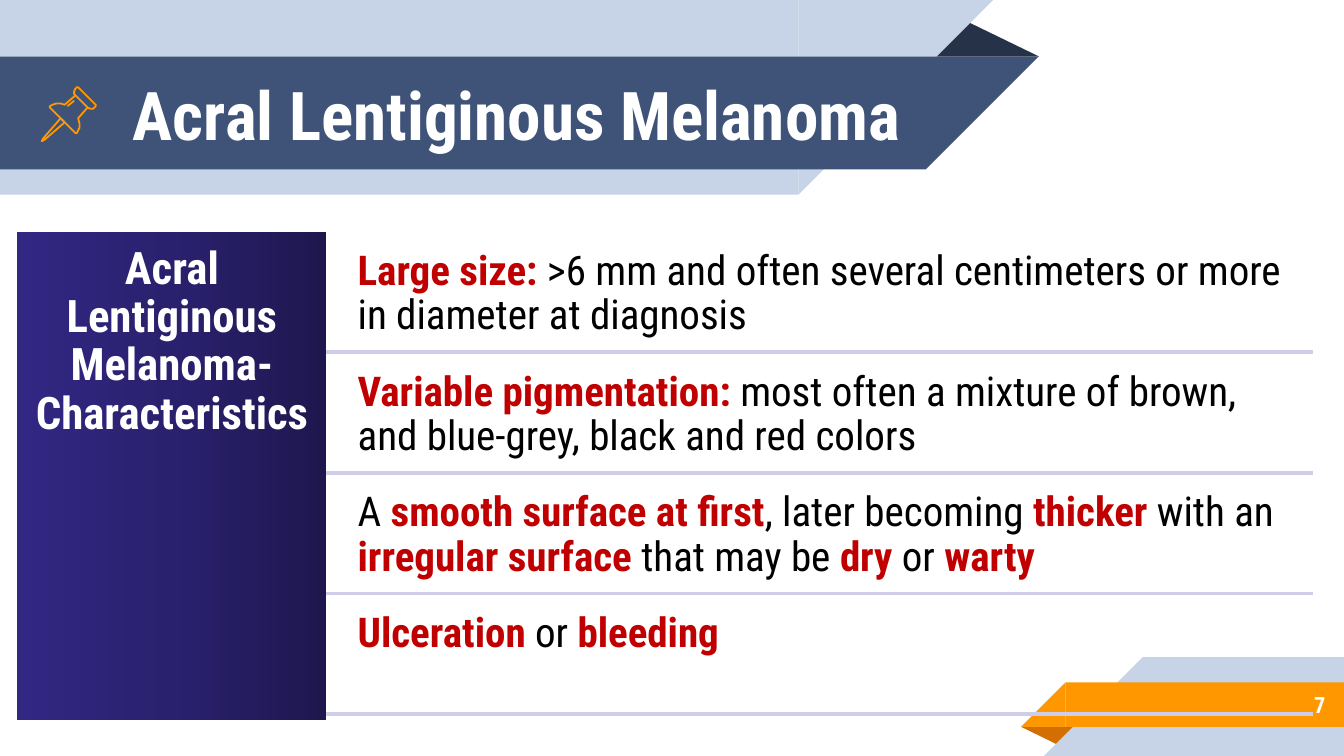
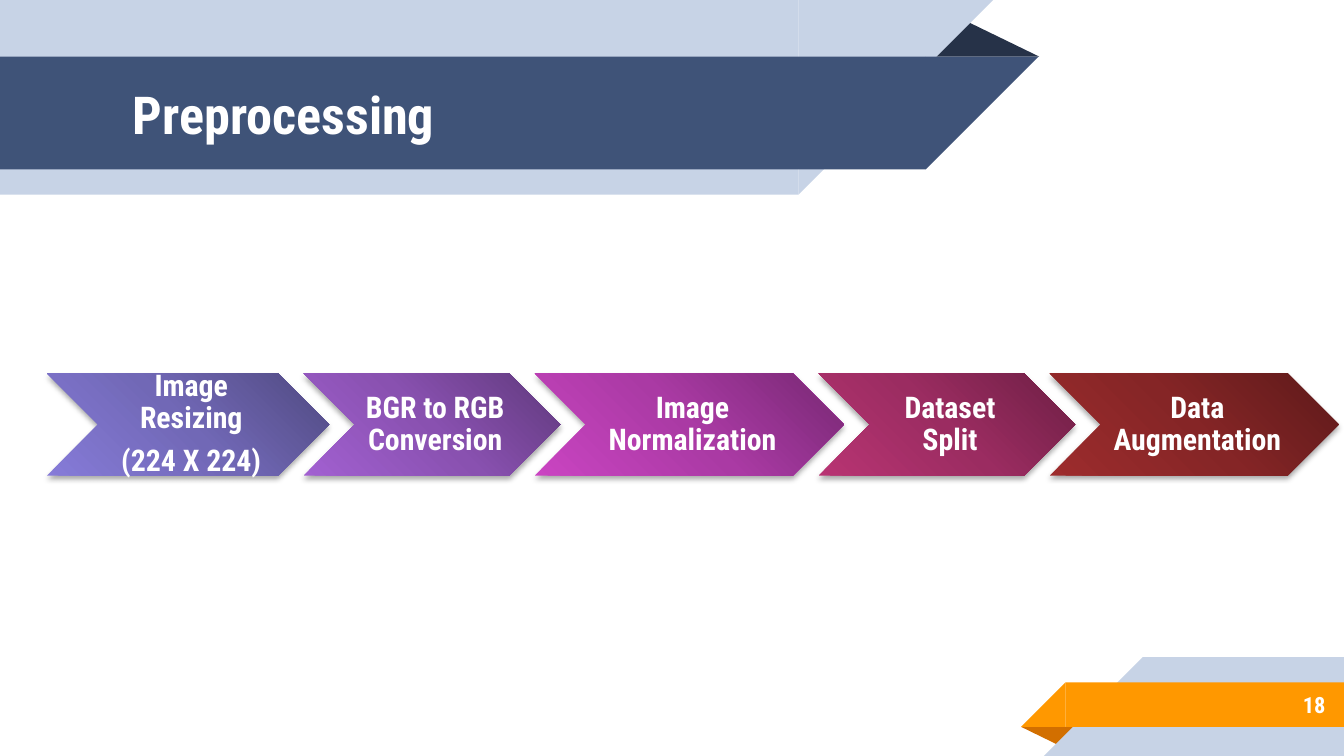
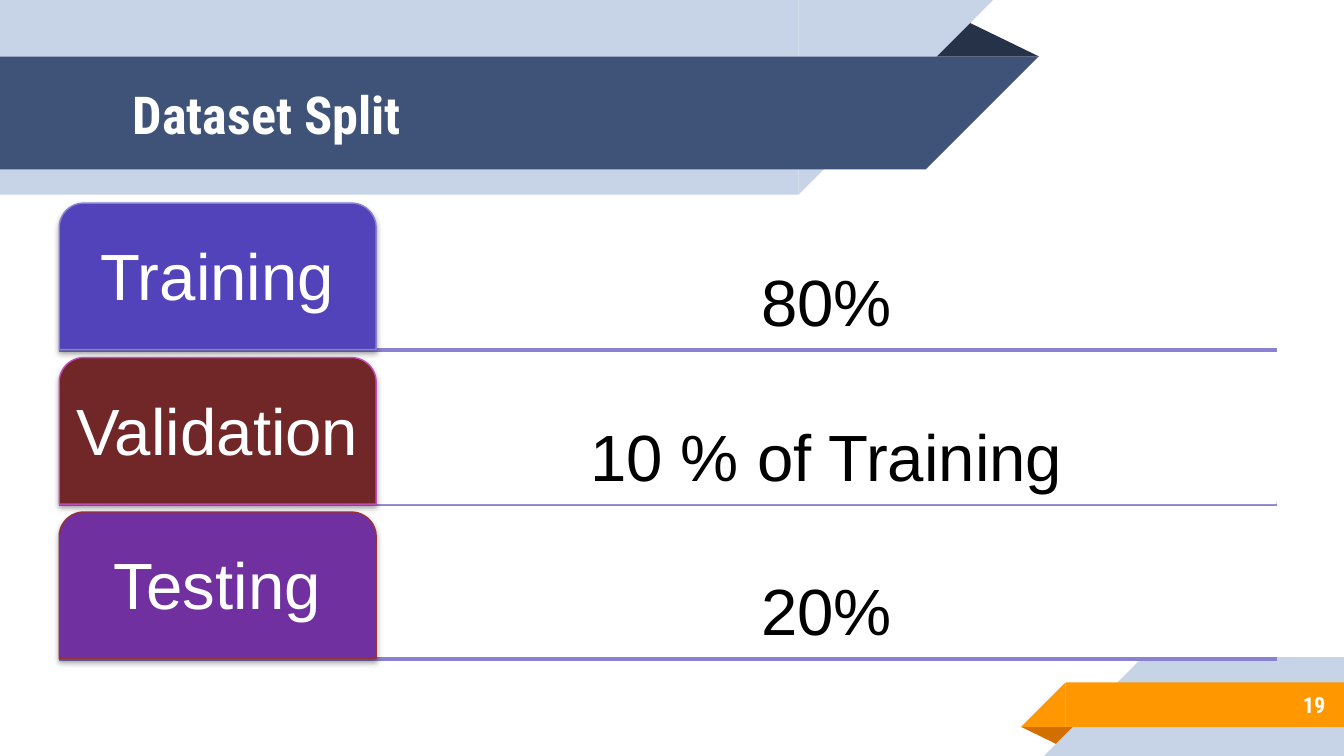
from typing import NamedTuple

from pptx import Presentation
from pptx.dml.color import RGBColor
from pptx.enum.shapes import MSO_CONNECTOR, MSO_SHAPE
from pptx.enum.text import MSO_ANCHOR, PP_ALIGN
from pptx.oxml import parse_xml
from pptx.oxml.ns import nsdecls, qn
from pptx.util import Cm, Pt

WHITE = RGBColor(0xFF, 0xFF, 0xFF)
BLACK = RGBColor(0x00, 0x00, 0x00)
NAVY = RGBColor(0x3F, 0x53, 0x78)
NAVY_FOLD = RGBColor(0x26, 0x32, 0x48)
PALE_BLUE = RGBColor(0xC7, 0xD3, 0xE6)
ORANGE = RGBColor(0xFF, 0x98, 0x00)
ORANGE_FOLD = RGBColor(0xD2, 0x6F, 0x00)
RED = RGBColor(0xC0, 0x00, 0x00)
LAVENDER = RGBColor(0xD0, 0xCD, 0xEA)
VIOLET = RGBColor(0x8B, 0x81, 0xD2)
INDIGO = RGBColor(0x52, 0x43, 0xBB)
MAROON = RGBColor(0x71, 0x26, 0x27)
MAGENTA = RGBColor(0xC1, 0x4D, 0xBA)
PURPLE = RGBColor(0x70, 0x30, 0xA0)
BRICK = RGBColor(0x96, 0x33, 0x34)


def shades(*codes):
    """Turn hex codes into the colours of a gradient, darkest first."""
    return [RGBColor.from_string(code) for code in codes]


PANEL_SHADES = shades("1E174E", "2A216E", "322783")
VIOLET_SHADES = shades("504980", "7168B6", "867BD8")
PURPLE_SHADES = shades("60397C", "8951B0", "A260D1")
MAGENTA_SHADES = shades("772873", "AA3AA4", "CA44C2")
ROSE_SHADES = shades("6D1F44", "9B2C61", "B83473")
BRICK_SHADES = shades("5D1A1A", "852526", "9D2C2D")

HEADING_FONT = "Roboto Condensed"
BODY_FONT = "Arial"
LEFT_TO_RIGHT = '<a:lin ang="10800000" scaled="0"/>'
FROM_CORNER = '<a:path path="circle"><a:fillToRect l="100000" b="100000"/></a:path>'

TRAITS = [
    "*Large size:* >6 mm and often several centimeters or more in diameter at diagnosis",
    "*Variable pigmentation:* most often a mixture of brown, and blue-grey, black and red colors",
    "A *smooth surface at first*, later becoming *thicker* with an "
    "*irregular surface* that may be *dry* or *warty*",
    "*Ulceration* or *bleeding*",
]
STEPS = [
    ("Image Resizing\n(224 X 224)", 5.33, VIOLET_SHADES),
    ("BGR to RGB Conversion", 4.85, PURPLE_SHADES),
    ("Image Normalization", 5.84, MAGENTA_SHADES),
    ("Dataset Split", 4.85, ROSE_SHADES),
    ("Data Augmentation", 5.46, BRICK_SHADES),
]
SHARES = [
    ("Training", "80%", INDIGO, VIOLET, None),
    ("Validation", "10 % of Training", MAROON, MAGENTA, WHITE),
    ("Testing", "20%", PURPLE, BRICK, None),
]
PIN_STROKES = [
    ([(14, 23), (1, 38), (0, 40), (2, 39), (17, 26)], True),
    ([(25, 6), (34, 15), (36, 16), (38, 16), (39, 15), (40, 14), (40, 13),
      (27, 0), (26, 0), (25, 1), (24, 3), (24, 5)], True),
    ([(25, 6), (17, 13), (14, 12), (11, 12), (8, 13), (6, 14), (6, 15), (7, 16),
      (24, 33), (25, 34), (26, 34), (27, 32), (28, 30), (28, 27), (27, 23),
      (34, 15)], False),
    ([(19, 14), (24, 10)], False),
]


class Box(NamedTuple):
    """A place on the slide in centimetres."""
    x: float
    y: float
    w: float
    h: float

    def emu(self):
        """Give the four lengths as python-pptx takes them."""
        return [Cm(length) for length in self]


def add_text(slide, box, text, size=22, font=HEADING_FONT, color=WHITE, bold=False,
             align=PP_ALIGN.LEFT, anchor=MSO_ANCHOR.TOP, margins=(0.25,) * 4,
             spaced=True, fill=None):
    """Write text in a box, with the parts between asterisks in bold red."""
    text_box = slide.shapes.add_textbox(*box.emu())
    if fill is not None:
        text_box.fill.solid()
        text_box.fill.fore_color.rgb = fill
    frame = text_box.text_frame
    frame.word_wrap = True
    frame.vertical_anchor = anchor
    (frame.margin_left, frame.margin_top,
     frame.margin_right, frame.margin_bottom) = [Cm(margin) for margin in margins]
    for index, line in enumerate(text.split("\n")):
        paragraph = frame.add_paragraph() if index else frame.paragraphs[0]
        paragraph.alignment = align
        if spaced:
            paragraph.line_spacing = 0.9
            paragraph.space_after = Pt(size * 0.35)
        for position, part in enumerate(line.split("*")):
            if not part:
                continue
            marked = position % 2 == 1
            run = paragraph.add_run()
            run.text = part
            run.font.name = font
            run.font.size = Pt(size)
            run.font.bold = bold or marked
            run.font.color.rgb = RED if marked else color


def add_block(slide, kind, box, fill=None, outline=None, rotation=0, flipped=False):
    """Place a flat preset shape."""
    block = slide.shapes.add_shape(kind, *box.emu())
    block.shadow.inherit = False
    if fill is not None:
        block.fill.solid()
        block.fill.fore_color.rgb = fill
    if outline is None:
        block.line.fill.background()
    else:
        block.line.color.rgb = outline
        block.line.width = Pt(0.75)
    block.rotation = rotation
    if flipped:
        block._element.spPr.find(qn("a:xfrm")).set("flipH", "1")
    return block


def shade(block, colors, direction):
    """Fill a shape with a gradient of evenly placed colours."""
    stops = "".join(
        f'<a:gs pos="{index * 100000 // (len(colors) - 1)}"><a:srgbClr val="{color}"/></a:gs>'
        for index, color in enumerate(colors))
    gradient = parse_xml(f'<a:gradFill {nsdecls("a")} rotWithShape="1">'
                         f'<a:gsLst>{stops}</a:gsLst>{direction}</a:gradFill>')
    block._element.spPr.find(qn("a:prstGeom")).addnext(gradient)


def drop_shadow(block):
    """Give a shape a soft shadow below it."""
    block._element.spPr.find(qn("a:effectLst")).append(parse_xml(
        f'<a:outerShdw {nsdecls("a")} blurRad="39370" dist="22860" dir="5400000" rotWithShape="0">'
        '<a:srgbClr val="000000"><a:alpha val="35000"/></a:srgbClr></a:outerShdw>'))


def add_rule(slide, x, y, width, color):
    """Draw a horizontal rule."""
    rule = slide.shapes.add_connector(
        MSO_CONNECTOR.STRAIGHT, Cm(x), Cm(y), Cm(x + width), Cm(y))
    rule.line.color.rgb = color
    rule.line.width = Pt(2)
    rule._element.spPr.append(parse_xml(f'<a:effectLst {nsdecls("a")}/>'))


def add_fold(slide, box, color, rotation=0):
    """Draw the dark fold behind a ribbon."""
    fold = add_block(slide, MSO_SHAPE.ISOSCELES_TRIANGLE, box, color, rotation=rotation)
    fold.adjustments[0] = 0.324


def add_ribbon(slide, box, color, slant_right):
    """Draw a band with one end cut at 45 degrees."""
    rotation = 180 if slant_right else 0
    straight_x = box.x if slant_right else box.x + box.h
    slant_x = box.x + box.w - box.h if slant_right else box.x
    parts = [
        (MSO_SHAPE.RECTANGLE, Box(straight_x, box.y, box.w - box.h, box.h)),
        (MSO_SHAPE.RIGHT_TRIANGLE, Box(slant_x, box.y, box.h, box.h)),
    ]
    for kind, place in parts:
        add_block(slide, kind, place, color, rotation=rotation, flipped=True)


def add_header(slide, box, title, size, title_width):
    """Draw the title ribbons and the title."""
    add_fold(slide, Box(box.x + 17.48, box.y + 0.36, 2.16, 0.71), NAVY_FOLD)
    add_ribbon(slide, Box(box.x, box.y, 18.77, box.h), PALE_BLUE, True)
    add_ribbon(slide, Box(box.x, box.y + 1.07, box.w, 2.13), NAVY, True)
    add_text(slide, Box(box.x + 2.26, box.y + 1.09, title_width, 2.13), title, size=size,
             bold=True, anchor=MSO_ANCHOR.MIDDLE, spaced=False)


def add_footer(slide, box, number):
    """Draw the corner ribbons and the slide number."""
    add_fold(slide, Box(box.x, box.y + 1.32, 1.09, 0.36), ORANGE_FOLD, 180)
    add_ribbon(slide, Box(box.x + 0.43, box.y, box.w - 0.43, box.h), PALE_BLUE, False)
    add_ribbon(slide, Box(box.x, box.y + 0.48, box.w, 0.84), ORANGE, False)
    add_text(slide, Box(box.x + 1.86, box.y + 0.46, 4.14, 0.89), str(number), size=12, bold=True,
             align=PP_ALIGN.RIGHT, anchor=MSO_ANCHOR.MIDDLE, spaced=False)


def add_framed_slide(deck, title, number, size=28, title_width=15.27):
    """Add a slide with its header and footer."""
    slide = deck.slides.add_slide(deck.slide_layouts[6])
    add_header(slide, Box(0, 0, 19.63, 3.68), title, size, title_width)
    add_footer(slide, Box(19.3, 12.42, 6.1, 1.87), number)
    return slide


def add_pin(slide, box):
    """Draw the outlined push pin."""
    scale = Cm(box.w) / 40
    for points, closed in PIN_STROKES:
        builder = slide.shapes.build_freeform(*points[0], scale=scale)
        builder.add_line_segments(points[1:], close=closed)
        stroke = builder.convert_to_shape(Cm(box.x), Cm(box.y))
        stroke.shadow.inherit = False
        stroke.fill.background()
        stroke.line.color.rgb = ORANGE
        stroke.line.width = Pt(0.96)


def add_traits(slide, box, label, traits):
    """Draw the label panel and its ruled list of traits."""
    label_box = box._replace(w=5.84)
    panel = add_block(slide, MSO_SHAPE.RECTANGLE, label_box)
    shade(panel, PANEL_SHADES, LEFT_TO_RIGHT)
    add_text(slide, label_box, label, size=24, bold=True, align=PP_ALIGN.CENTER)
    pitch, height = 2.28, 2.16
    for index, trait in enumerate(traits):
        top = box.y + 0.11 + index * pitch
        add_text(slide, Box(box.x + 6.2, top, box.w - 6.2, height), trait,
                 color=BLACK, margins=(0.23,) * 4)
        add_rule(slide, box.x + label_box.w, top + height, box.w - label_box.w, LAVENDER)


def add_steps(slide, box, steps):
    """Draw a row of interlocking chevrons."""
    overlap, point = 0.48, box.h / 2
    left = box.x
    for caption, width, colors in steps:
        chevron = add_block(slide, MSO_SHAPE.CHEVRON, Box(left, box.y, width, box.h))
        shade(chevron, colors, FROM_CORNER)
        drop_shadow(chevron)
        add_text(slide, Box(left + point, box.y, width - 2 * point, box.h), caption, size=16,
                 bold=True, align=PP_ALIGN.CENTER, anchor=MSO_ANCHOR.MIDDLE,
                 margins=(0.17, 0.05, 0.05, 0.05))
        left += width - overlap


def add_shares(slide, box, shares):
    """Draw the tabbed rows of the data set's parts."""
    tab_width, height, pitch = 5.99, 2.77, 2.92
    style = dict(size=35, font=BODY_FONT, align=PP_ALIGN.CENTER, margins=(0.17,) * 4)
    for index, (part, share, fill, outline, backing) in enumerate(shares):
        top = box.y + index * pitch
        add_rule(slide, box.x, top + height, box.w, VIOLET)
        add_text(slide, Box(box.x + tab_width, top, box.w - tab_width, height), share,
                 color=BLACK, anchor=MSO_ANCHOR.BOTTOM, fill=backing, **style)
        tab = add_block(slide, MSO_SHAPE.ROUND_2_SAME_RECTANGLE,
                        Box(box.x, top, tab_width, height), fill, outline)
        tab.adjustments[0] = 0.167
        tab.adjustments[1] = 0
        drop_shadow(tab)
        add_text(slide, Box(box.x + 0.13, top + 0.13, tab_width - 0.27, height - 0.13), part,
                 anchor=MSO_ANCHOR.MIDDLE, **style)


def main():
    """Build the three slides and save them."""
    deck = Presentation()
    deck.slide_width, deck.slide_height = Cm(25.4), Cm(14.29)

    melanoma = add_framed_slide(deck, "Acral Lentiginous Melanoma", 7, 36, 19.69)
    add_pin(melanoma, Box(0.79, 1.65, 1.02, 1.02))
    add_traits(melanoma, Box(0.33, 4.39, 24.49, 9.22),
               "Acral Lentiginous Melanoma- Characteristics", TRAITS)

    preprocessing = add_framed_slide(deck, "Preprocessing", 18)
    add_steps(preprocessing, Box(0.89, 7.06, 24.41, 1.93), STEPS)

    split = add_framed_slide(deck, "Dataset Split", 19)
    add_shares(split, Box(1.12, 3.84, 23.01, 8.61), SHARES)

    deck.save("out.pptx")


if __name__ == "__main__":
    main()
